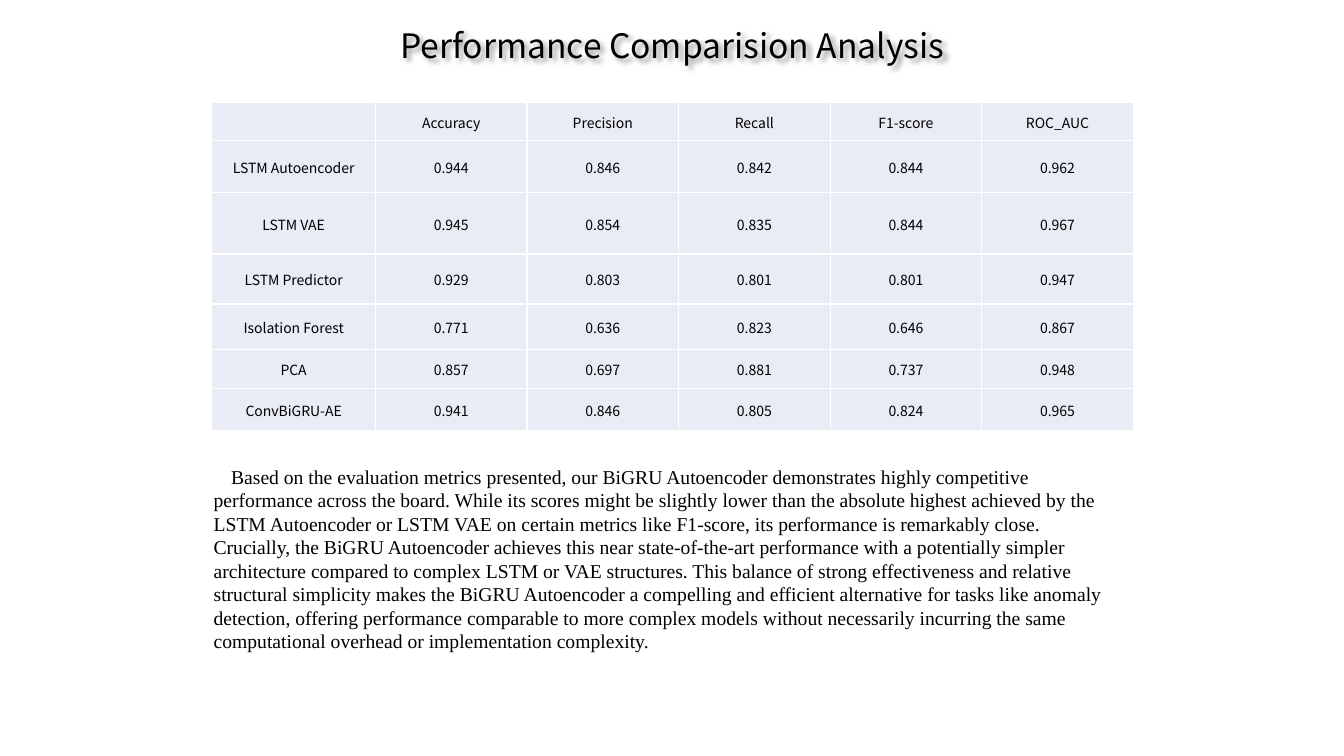
from lxml.etree import SubElement
from pptx import Presentation
from pptx.dml.color import RGBColor
from pptx.enum.text import MSO_ANCHOR, MSO_AUTO_SIZE, PP_ALIGN
from pptx.oxml import parse_xml
from pptx.oxml.ns import nsdecls, qn
from pptx.util import Cm, Pt

HUE = {"ink": "000000", "cell": "E9EBF5", "edge": "FFFFFF"}
SANS, SERIF = "Noto Sans CJK SC", "Times New Roman"


def style(para, name, size, form):
    for key, val in form.items():
        setattr(para, key, val)
    for run in para.runs:
        font = run.font
        font.name, font.size = name, Pt(size)
        font.color.rgb = RGBColor.from_string(HUE["ink"])
        SubElement(font._element, qn("a:ea")).set("typeface", name)


def place(shape, box, frame):
    shape.left, shape.top, shape.width, shape.height = map(Cm, box)
    for key, val in frame.items():
        setattr(shape.text_frame, key, val)


deck = Presentation()
deck.slide_width, deck.slide_height = Cm(33.87), Cm(19.05)
slide = deck.slides.add_slide(deck.slide_layouts[1])
title, body = slide.placeholders

# Title with a soft shadow
title.text_frame.text = "Performance Comparision Analysis"
place(title, (6.58, 0.74, 20.73, 1.47), {
    "word_wrap": True, "auto_size": MSO_AUTO_SIZE.NONE,
    "vertical_anchor": MSO_ANCHOR.TOP, "margin_top": 0, "margin_bottom": 0})
style(title.text_frame.paragraphs[0], SANS, 24, {
    "alignment": PP_ALIGN.CENTER, "line_spacing": 0.9, "space_before": Pt(10)})
title._element.spPr.append(parse_xml(
    f'<a:effectLst {nsdecls("a")}><a:outerShdw blurRad="50800" dist="38100" '
    f'dir="2700000" algn="tl"><a:srgbClr val="{HUE["ink"]}">'
    '<a:alpha val="40000"/></a:srgbClr></a:outerShdw></a:effectLst>'))

# Comparison table
HEADS = ["", "Accuracy", "Precision", "Recall", "F1-score", "ROC_AUC"]
SCORES = [
    ("LSTM Autoencoder", 0.944, 0.846, 0.842, 0.844, 0.962),
    ("LSTM VAE", 0.945, 0.854, 0.835, 0.844, 0.967),
    ("LSTM Predictor", 0.929, 0.803, 0.801, 0.801, 0.947),
    ("Isolation Forest", 0.771, 0.636, 0.823, 0.646, 0.867),
    ("PCA", 0.857, 0.697, 0.881, 0.737, 0.948),
    ("ConvBiGRU-AE", 0.941, 0.846, 0.805, 0.824, 0.965),
]
WIDE = [4.12] + [3.82] * 5
HIGH = [0.95, 1.32, 1.54, 1.26, 1.14, 1.0, 1.05]
grid = slide.shapes.add_table(len(HIGH), len(WIDE), Cm(5.34), Cm(2.59),
                              Cm(sum(WIDE)), Cm(sum(HIGH))).table
grid.first_row = grid.horz_banding = False
for col, wide in zip(grid.columns, WIDE):
    col.width = Cm(wide)
for row, high, data in zip(grid.rows, HIGH, [HEADS] + SCORES):
    row.height = Cm(high)
    for cell, item in zip(row.cells, data):
        cell.text = str(item)
        for key, val in {"vertical_anchor": MSO_ANCHOR.MIDDLE,
                         "margin_left": Cm(0.03), "margin_right": Cm(0.03),
                         "margin_top": Cm(0.03), "margin_bottom": 0}.items():
            setattr(cell, key, val)
        style(cell.text_frame.paragraphs[0], SANS, 10,
              {"alignment": PP_ALIGN.CENTER})
        # Borders come before the fill in the cell properties
        props = cell._tc.get_or_add_tcPr()
        for side in ("lnL", "lnR", "lnT", "lnB"):
            props.append(parse_xml(
                f'<a:{side} {nsdecls("a")} w="12700"><a:solidFill>'
                f'<a:srgbClr val="{HUE["edge"]}"/></a:solidFill></a:{side}>'))
        cell.fill.solid()
        cell.fill.fore_color.rgb = RGBColor.from_string(HUE["cell"])

# Discussion
body.text_frame.text = (
    "Based on the evaluation metrics presented, our BiGRU Autoencoder "
    "demonstrates highly competitive performance across the board. While its "
    "scores might be slightly lower than the absolute highest achieved by the "
    "LSTM Autoencoder or LSTM VAE on certain metrics like F1-score, its "
    "performance is remarkably close. Crucially, the BiGRU Autoencoder achieves "
    "this near state-of-the-art performance with a potentially simpler "
    "architecture compared to complex LSTM or VAE structures. This balance of "
    "strong effectiveness and relative structural simplicity makes the BiGRU "
    "Autoencoder a compelling and efficient alternative for tasks like anomaly "
    "detection, offering performance comparable to more complex models without "
    "necessarily incurring the same computational overhead or implementation "
    "complexity.")
place(body, (5.13, 11.58, 23.42, 5.05), {
    "word_wrap": True, "auto_size": MSO_AUTO_SIZE.NONE,
    "vertical_anchor": MSO_ANCHOR.TOP})
note = body.text_frame.paragraphs[0]
style(note, SERIF, 14, {"alignment": PP_ALIGN.LEFT, "space_before": Pt(0)})
props = note._p.get_or_add_pPr()
props.set("marL", "0")
props.set("indent", str(Cm(0.44)))
SubElement(props, qn("a:buNone"))

deck.save("out.pptx")
